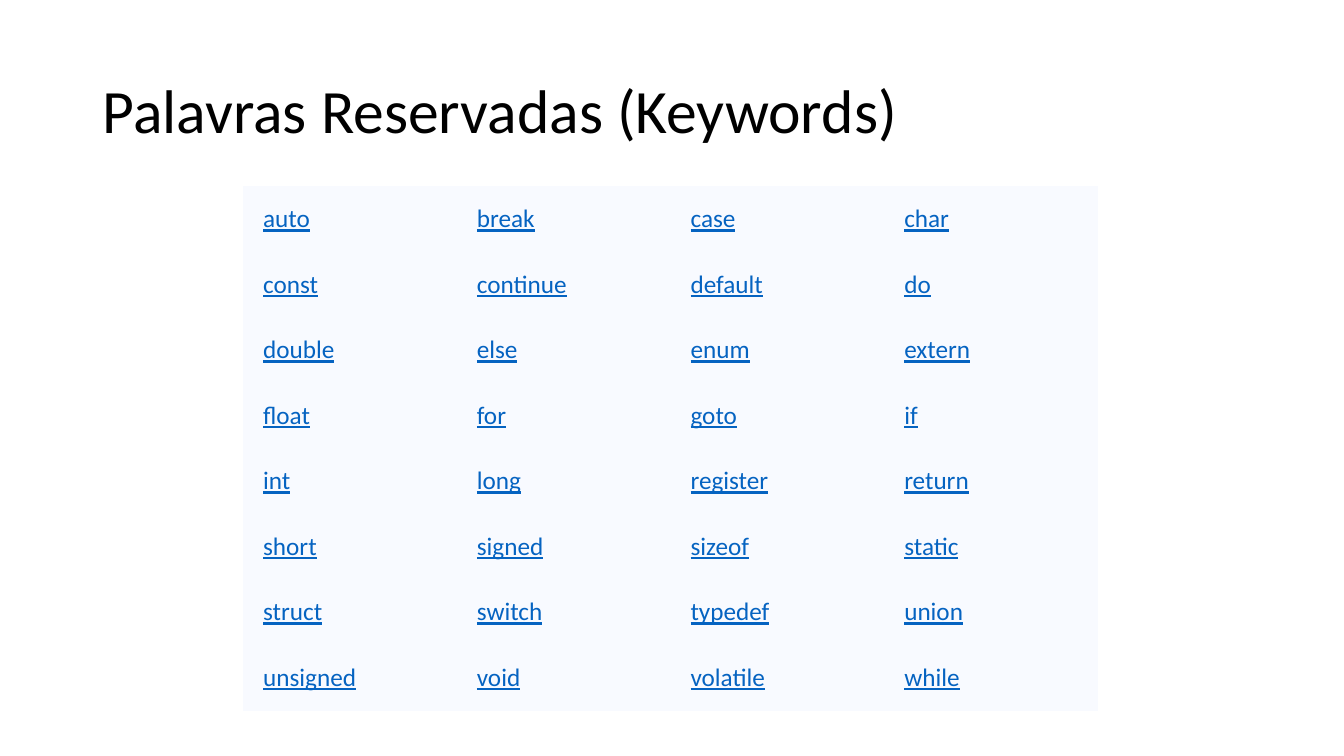
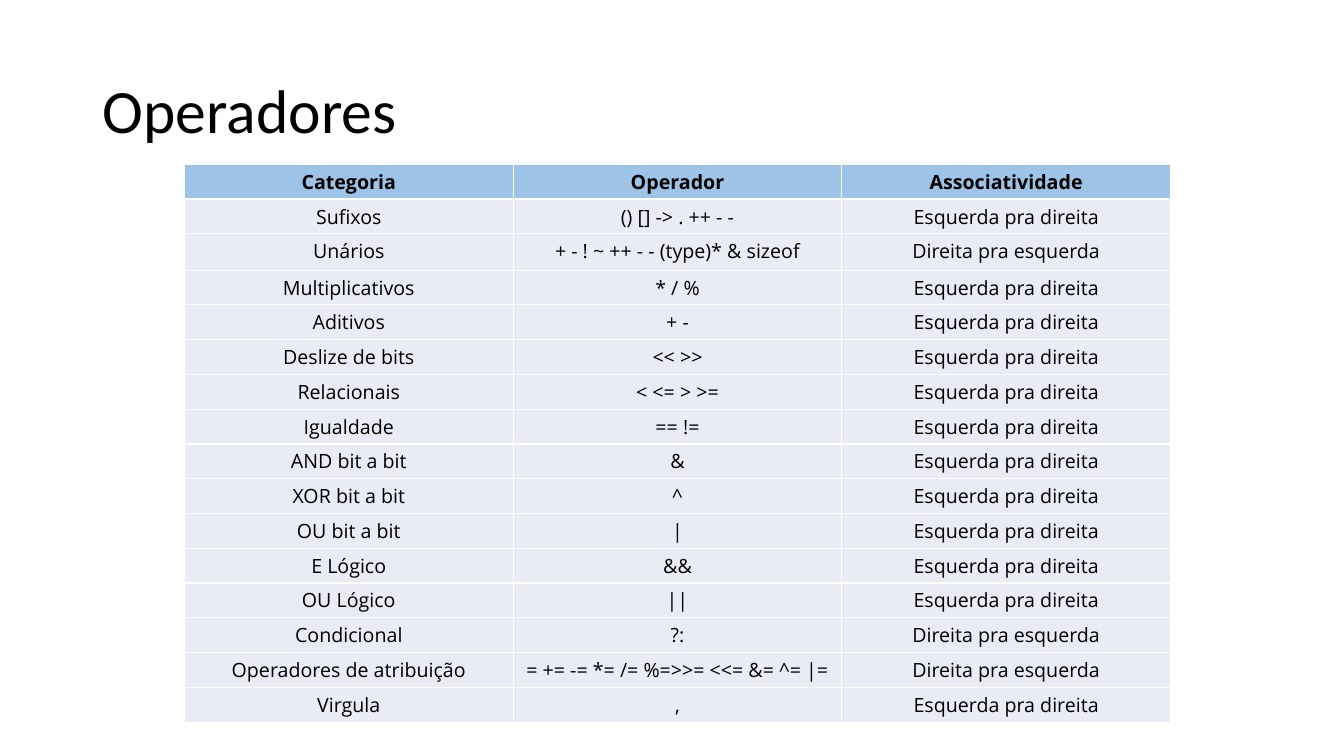
"""Build two slides on C: reserved words and operators."""
from lxml.etree import SubElement
from pptx import Presentation
from pptx.dml.color import RGBColor
from pptx.enum.text import MSO_ANCHOR, MSO_AUTO_SIZE, PP_ALIGN
from pptx.oxml.ns import qn
from pptx.util import Pt

PX = 9144
SIZE = 1333, 750
TITLE_BOX = 92, 40, 1150, 145

WORDS = [
    ("auto", "break", "case", "char"),
    ("const", "continue", "default", "do"),
    ("double", "else", "enum", "extern"),
    ("float", "for", "goto", "if"),
    ("int", "long", "register", "return"),
    ("short", "signed", "sizeof", "static"),
    ("struct", "switch", "typedef", "union"),
    ("unsigned", "void", "volatile", "while"),
]

LEFT = "Esquerda pra direita"
RIGHT = "Direita pra esquerda"
OPS = [
    ("Categoria", "Operador", "Associatividade"),
    ("Sufixos", "() [] -> . ++ - -", LEFT),
    ("Unários", "+ - ! ~ ++ - - (type)* & sizeof", RIGHT),
    ("Multiplicativos", "* / %", LEFT),
    ("Aditivos", "+ -", LEFT),
    ("Deslize de bits", "<< >>", LEFT),
    ("Relacionais", "< <= > >=", LEFT),
    ("Igualdade", "== !=", LEFT),
    ("AND bit a bit", "&", LEFT),
    ("XOR bit a bit", "^", LEFT),
    ("OU bit a bit", "|", LEFT),
    ("E Lógico", "&&", LEFT),
    ("OU Lógico", "||", LEFT),
    ("Condicional", "?:", RIGHT),
    ("Operadores de atribuição", "= += -= *= /= %=>>= <<= &= ^= |=", RIGHT),
    ("Virgula", ",", LEFT),
]

HEAD = {"name": "Calibri", "size": Pt(44), "color": "000000"}
LINK = {"name": "Calibri", "size": Pt(18), "color": "0563C1", "underline": True}
BODY = {"name": "Open Sans", "size": Pt(14), "color": "000000", "bold": False}

SLIDES = [
    {"title": "Palavras Reservadas (Keywords)", "rows": WORDS, "at": (241, 185),
     "col": 212, "row": 65, "odd": {}, "pad": (20, 10), "font": LINK,
     "align": PP_ALIGN.LEFT, "anchor": MSO_ANCHOR.MIDDLE,
     "fill": "F8FAFF", "edge": None, "top": None},
    {"title": "Operadores", "rows": OPS, "at": (183, 163),
     "col": 326, "row": 33, "odd": {2: 36, 7: 34, 14: 35}, "pad": (4, 4),
     "font": BODY, "align": PP_ALIGN.CENTER, "anchor": MSO_ANCHOR.TOP,
     "fill": "E9EBF5", "edge": "FFFFFF", "top": "9DC3E6"},
]


def px(*nums):
    return [num * PX for num in nums]


def rgb(code):
    return RGBColor.from_string(code)


def style(font, look):
    for key, value in look.items():
        if key == "color":
            font.color.rgb = rgb(value)
        else:
            setattr(font, key, value)


def put(part, **attrs):
    for key, value in attrs.items():
        setattr(part, key, value)


def add_title(slide, text):
    title = slide.shapes.title
    put(title, **dict(zip(("left", "top", "width", "height"), px(*TITLE_BOX))))
    frame = title.text_frame
    put(frame, text=text, word_wrap=True, auto_size=MSO_AUTO_SIZE.NONE,
        vertical_anchor=MSO_ANCHOR.MIDDLE)
    para = frame.paragraphs[0]
    put(para, alignment=PP_ALIGN.LEFT, line_spacing=0.9)
    style(para.runs[0].font, HEAD)


def add_edges(cell, code):
    props = cell._tc.get_or_add_tcPr()
    for side in "LRTB":
        line = SubElement(props, qn("a:ln" + side), w=str(Pt(1)))
        if code:
            fill = SubElement(line, qn("a:solidFill"))
            SubElement(fill, qn("a:srgbClr"), val=code)
        else:
            SubElement(line, qn("a:noFill"))


def fill_cell(cell, text, data, head):
    wide, high = px(*data["pad"])
    put(cell, text=text, vertical_anchor=data["anchor"],
        margin_left=wide, margin_right=wide, margin_top=high, margin_bottom=high)
    add_edges(cell, data["edge"])
    cell.fill.solid()
    cell.fill.fore_color.rgb = rgb(data["top"] if head else data["fill"])
    para = cell.text_frame.paragraphs[0]
    para.alignment = data["align"]
    style(para.runs[0].font, {**data["font"], **({"bold": True} if head else {})})


def add_grid(slide, data):
    rows = data["rows"]
    highs = [data["odd"].get(i, data["row"]) for i in range(len(rows))]
    count = len(rows[0])
    box = px(*data["at"], data["col"] * count, sum(highs))
    table = slide.shapes.add_table(len(rows), count, *box).table
    put(table, first_row=bool(data["top"]), horz_banding=False)
    for col in table.columns:
        col.width = data["col"] * PX
    for i, (texts, high) in enumerate(zip(rows, highs)):
        table.rows[i].height = high * PX
        for j, text in enumerate(texts):
            fill_cell(table.cell(i, j), text, data, table.first_row and i == 0)


def main():
    deck = Presentation()
    deck.slide_width, deck.slide_height = px(*SIZE)
    for data in SLIDES:
        slide = deck.slides.add_slide(deck.slide_layouts[5])
        add_title(slide, data["title"])
        add_grid(slide, data)
    deck.save("out.pptx")


if __name__ == "__main__":
    main()
